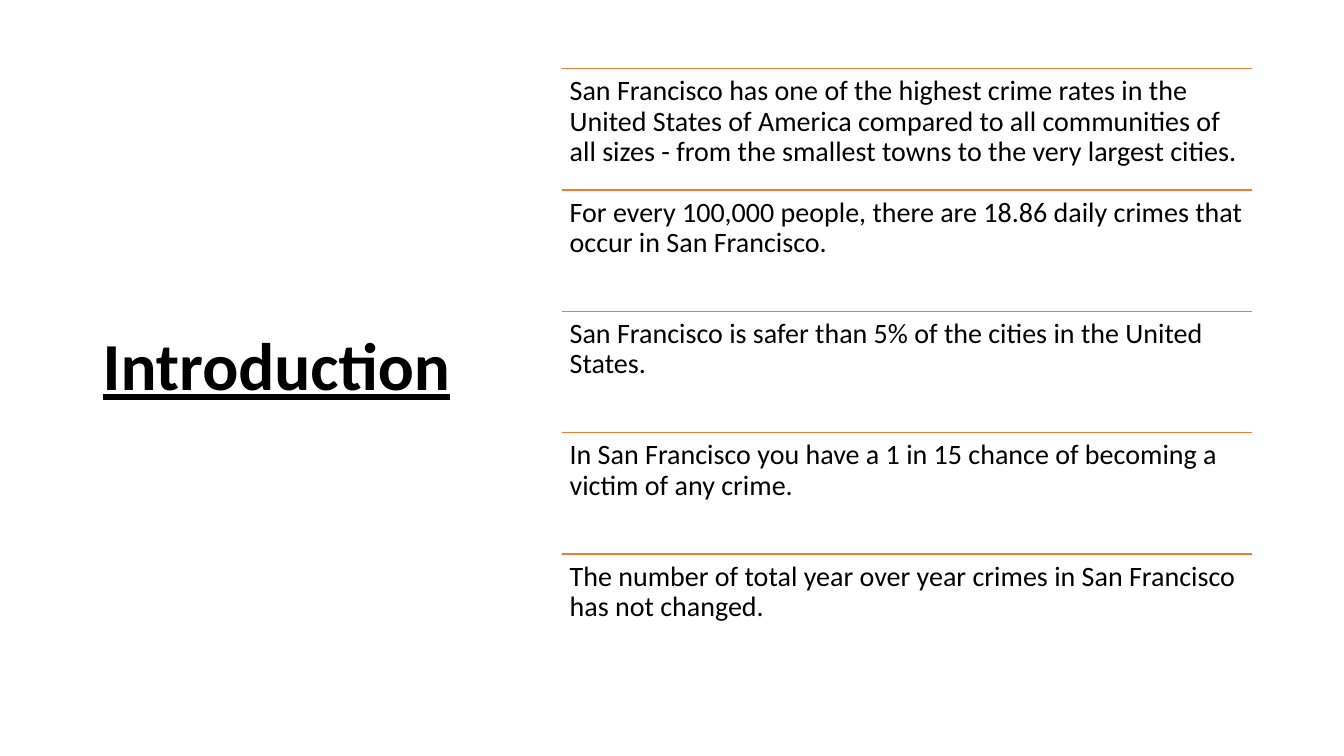
from dataclasses import dataclass

from lxml import etree
from pptx import Presentation
from pptx import util as u
from pptx.dml.color import RGBColor
from pptx.enum import shapes, text
from pptx.oxml import ns


@dataclass(frozen=True)
class Theme:
    font: str = "Calibri"
    ink: str = "000000"
    accent: str = "ED7D31"
    heading_size: int = 48
    body_size: int = 20
    rule_width: int = 1
    line_spacing: float = 0.9


class SlideBuilder:
    def __init__(self, slide, theme):
        self.slide = slide
        self.theme = theme

    def text(self, words, left, top, width, height, size, inset=(0.1, 0.05),
             anchor=text.MSO_ANCHOR.TOP, strong=False, space_after=0):
        box = self.slide.shapes.add_textbox(
            *(u.Inches(length) for length in (left, top, width, height)))
        frame = box.text_frame
        frame.word_wrap = True
        frame.vertical_anchor = anchor
        frame.margin_left = frame.margin_right = u.Inches(inset[0])
        frame.margin_top = frame.margin_bottom = u.Inches(inset[1])
        paragraph = frame.paragraphs[0]
        paragraph.line_spacing = self.theme.line_spacing
        paragraph.space_after = u.Pt(space_after)
        run = paragraph.add_run()
        run.text = words
        run.font.name = self.theme.font
        run.font.size = u.Pt(size)
        run.font.bold = run.font.underline = strong
        run.font.color.rgb = RGBColor.from_string(self.theme.ink)

    def heading(self, words, left, top, width, height):
        self.text(words, left, top, width, height, self.theme.heading_size,
                  anchor=text.MSO_ANCHOR.MIDDLE, strong=True)

    def rule(self, left, top, width):
        line = self.slide.shapes.add_connector(
            shapes.MSO_CONNECTOR.STRAIGHT, u.Inches(left), u.Inches(top),
            u.Inches(left + width), u.Inches(top))
        line.line.color.rgb = RGBColor.from_string(self.theme.accent)
        line.line.width = u.Pt(self.theme.rule_width)
        etree.SubElement(line._element.spPr, ns.qn("a:effectLst"))

    def fact(self, words, left, top, width, height):
        self.rule(left, top, width)
        self.text(words, left, top, width, height, self.theme.body_size,
                  inset=(0.08, 0.08), space_after=7)


FACTS = [
    "San Francisco has one of the highest crime rates in the United States of "
    "America compared to all communities of all sizes - from the smallest "
    "towns to the very largest cities.",
    "For every 100,000 people, there are 18.86 daily crimes that occur in "
    "San Francisco.",
    "San Francisco is safer than 5% of the cities in the United States.",
    "In San Francisco you have a 1 in 15 chance of becoming a victim of any "
    "crime.",
    "The number of total year over year crimes in San Francisco has not "
    "changed.",
]
FACTS_LEFT, FACTS_TOP, FACTS_WIDTH, FACTS_HEIGHT = 5.57, 0.68, 6.85, 6.02


def main():
    deck = Presentation()
    deck.slide_width = u.Inches(13.33)
    deck.slide_height = u.Inches(7.5)
    introduction = SlideBuilder(
        deck.slides.add_slide(deck.slide_layouts[6]), Theme())
    introduction.heading("Introduction", 0.92, 0.61, 3.69, 6.09)
    fact_height = FACTS_HEIGHT / len(FACTS)
    for index, fact in enumerate(FACTS):
        introduction.fact(fact, FACTS_LEFT, FACTS_TOP + index * fact_height,
                          FACTS_WIDTH, fact_height)
    deck.save("out.pptx")


if __name__ == "__main__":
    main()
